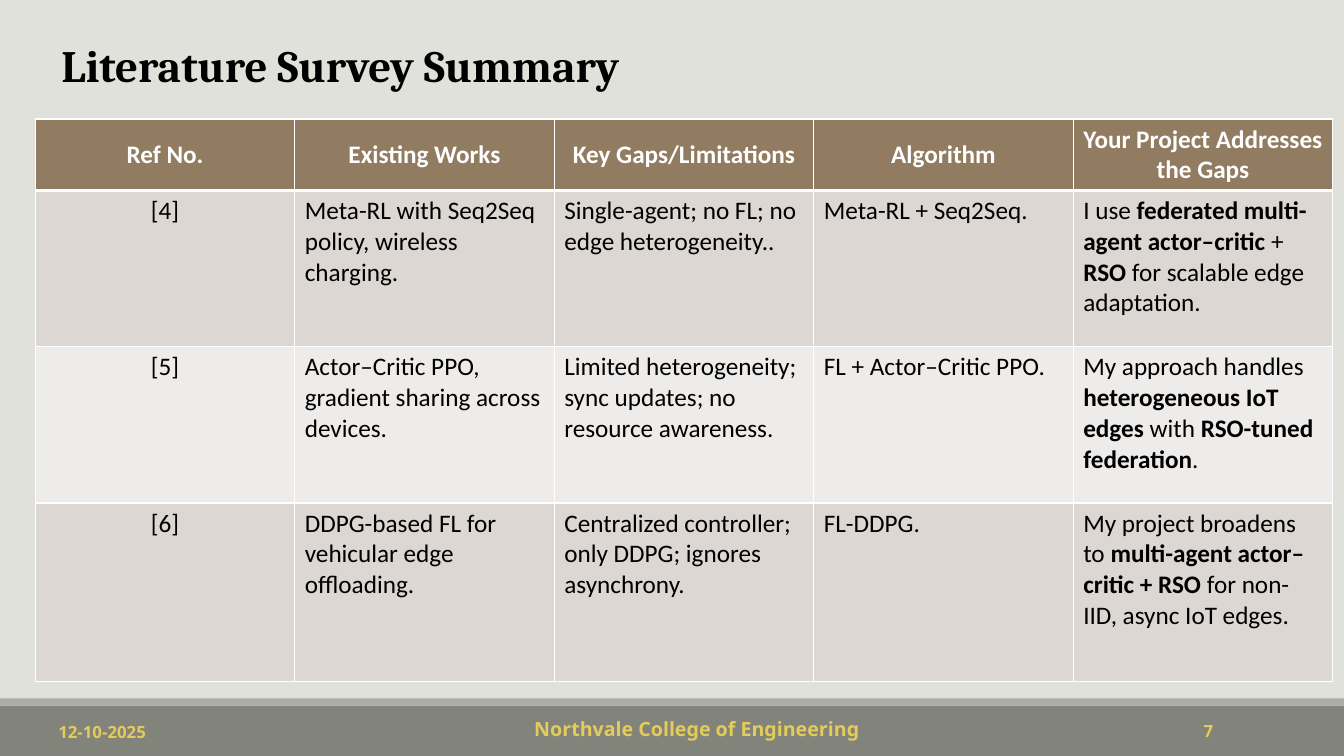
from lxml.etree import SubElement
from pptx import Presentation
from pptx.dml.color import RGBColor
from pptx.enum.shapes import MSO_SHAPE
from pptx.enum.text import MSO_ANCHOR, PP_ALIGN
from pptx.oxml.ns import qn
from pptx.util import Inches, Pt

BACKGROUND = RGBColor(0xE1, 0xE1, 0xDB)
FOOTER_BAND = RGBColor(0x82, 0x84, 0x7C)
FOOTER_EDGE = RGBColor(0xAC, 0xAD, 0xA8)
GOLD = RGBColor(0xE3, 0xCC, 0x5A)
BROWN = RGBColor(0x92, 0x7C, 0x61)
ROW_DARK = RGBColor(0xDC, 0xD7, 0xD2)
ROW_LIGHT = RGBColor(0xEE, 0xEC, 0xEA)
WHITE = RGBColor(0xFF, 0xFF, 0xFF)
BLACK = RGBColor(0x00, 0x00, 0x00)

# Text between ** marks is bold.
HEADER = ["Ref No.", "Existing Works", "Key Gaps/Limitations", "Algorithm",
          "Your Project Addresses the Gaps"]
WORKS = [
    ["[4]", "Meta-RL with Seq2Seq policy, wireless charging.",
     "Single-agent; no FL; no edge heterogeneity..", "Meta-RL + Seq2Seq.",
     "I use **federated multi-agent actor–critic** + **RSO** for scalable edge adaptation."],
    ["[5]", "Actor–Critic PPO, gradient sharing across devices.",
     "Limited heterogeneity; sync updates; no resource awareness.",
     "FL + Actor–Critic PPO.",
     "My approach handles **heterogeneous IoT edges** with **RSO-tuned federation**."],
    ["[6]", "DDPG-based FL for vehicular edge offloading.",
     "Centralized controller; only DDPG; ignores asynchrony.", "FL-DDPG.",
     "My project broadens to **multi-agent actor–critic + RSO** for non-IID, async IoT edges."],
]

TITLE_FONT = {"name": "Cambria", "size": Pt(32), "bold": True}
SMALL_FONT = {"name": "Noto Sans", "size": Pt(12), "bold": True}
FOOTER_FONT = {**SMALL_FONT, "size": Pt(14)}
CELL_FONT = {"name": "Calibri", "size": Pt(18)}

# text, (left, top, width, height), font, colour
TEXTS = [
    ("Literature Survey Summary", (0.51, 0.33, 6.67, 0.64), TITLE_FONT, BLACK),
    ("12-10-2025", (0.48, 7.11, 2.97, 0.4), SMALL_FONT, GOLD),
    ("Northvale College of Engineering", (5.2, 7.06, 3.82, 0.38), FOOTER_FONT, GOLD),
    ("7", (11.84, 7.1, 0.43, 0.4), SMALL_FONT, GOLD),
]
SLIDE_W, SLIDE_H = 13.33, 7.5
BANDS = [(7, 0.5, FOOTER_BAND), (6.93, 0.07, FOOTER_EDGE)]
TABLE_LEFT, TABLE_TOP, TABLE_W = 0.35, 1.18, 12.87
ROW_HEIGHTS = [0.68, 1.55, 1.55, 1.77]


def add_run(p, text, font, color):
    r = p.add_run()
    r.text = text
    for name, value in font.items():
        setattr(r.font, name, value)
    r.font.color.rgb = color


def add_text(slide, text, box, font, color):
    tf = slide.shapes.add_textbox(*map(Inches, box)).text_frame
    tf.word_wrap = True
    add_run(tf.paragraphs[0], text, font, color)


def add_band(slide, top, height, color):
    sp = slide.shapes.add_shape(MSO_SHAPE.RECTANGLE, 0, Inches(top),
                                Inches(SLIDE_W), Inches(height))
    sp.shadow.inherit = False
    sp.fill.solid()
    sp.fill.fore_color.rgb = color
    sp.line.fill.background()


def set_borders(cell, **widths):
    """Draw white borders; widths maps the sides L, R, T, B to points."""
    tcPr = cell._tc.get_or_add_tcPr()
    for side, width in widths.items():
        ln = SubElement(tcPr, qn(f"a:ln{side}"), w=str(Pt(width)))
        fill = SubElement(ln, qn("a:solidFill"))
        SubElement(fill, qn("a:srgbClr"), val=str(WHITE))


def fill_cell(cell, text, row, col):
    is_header = row == 0
    set_borders(cell, L=1, R=1, T=3 if row == 1 else 1, B=3 if is_header else 1)
    cell.fill.solid()
    cell.fill.fore_color.rgb = BROWN if is_header else ROW_DARK if row % 2 else ROW_LIGHT
    cell.vertical_anchor = MSO_ANCHOR.MIDDLE if is_header else MSO_ANCHOR.TOP
    p = cell.text_frame.paragraphs[0]
    p.alignment = PP_ALIGN.CENTER if is_header or col == 0 else PP_ALIGN.LEFT
    for i, part in enumerate(text.split("**")):
        add_run(p, part, {**CELL_FONT, "bold": is_header or i % 2 == 1},
                WHITE if is_header else BLACK)


def add_survey(slide):
    rows = [HEADER, *WORKS]
    table = slide.shapes.add_table(
        len(rows), len(HEADER), Inches(TABLE_LEFT), Inches(TABLE_TOP),
        Inches(TABLE_W), Inches(sum(ROW_HEIGHTS))).table
    for column in table.columns:
        column.width = Inches(TABLE_W / len(HEADER))
    for row, (texts, height) in enumerate(zip(rows, ROW_HEIGHTS)):
        table.rows[row].height = Inches(height)
        for col, text in enumerate(texts):
            fill_cell(table.cell(row, col), text, row, col)


def main():
    prs = Presentation()
    prs.slide_width, prs.slide_height = Inches(SLIDE_W), Inches(SLIDE_H)
    slide = prs.slides.add_slide(prs.slide_layouts[6])
    slide.background.fill.solid()
    slide.background.fill.fore_color.rgb = BACKGROUND
    for band in BANDS:
        add_band(slide, *band)
    add_survey(slide)
    for item in TEXTS:
        add_text(slide, *item)
    prs.save("out.pptx")


if __name__ == "__main__":
    main()
